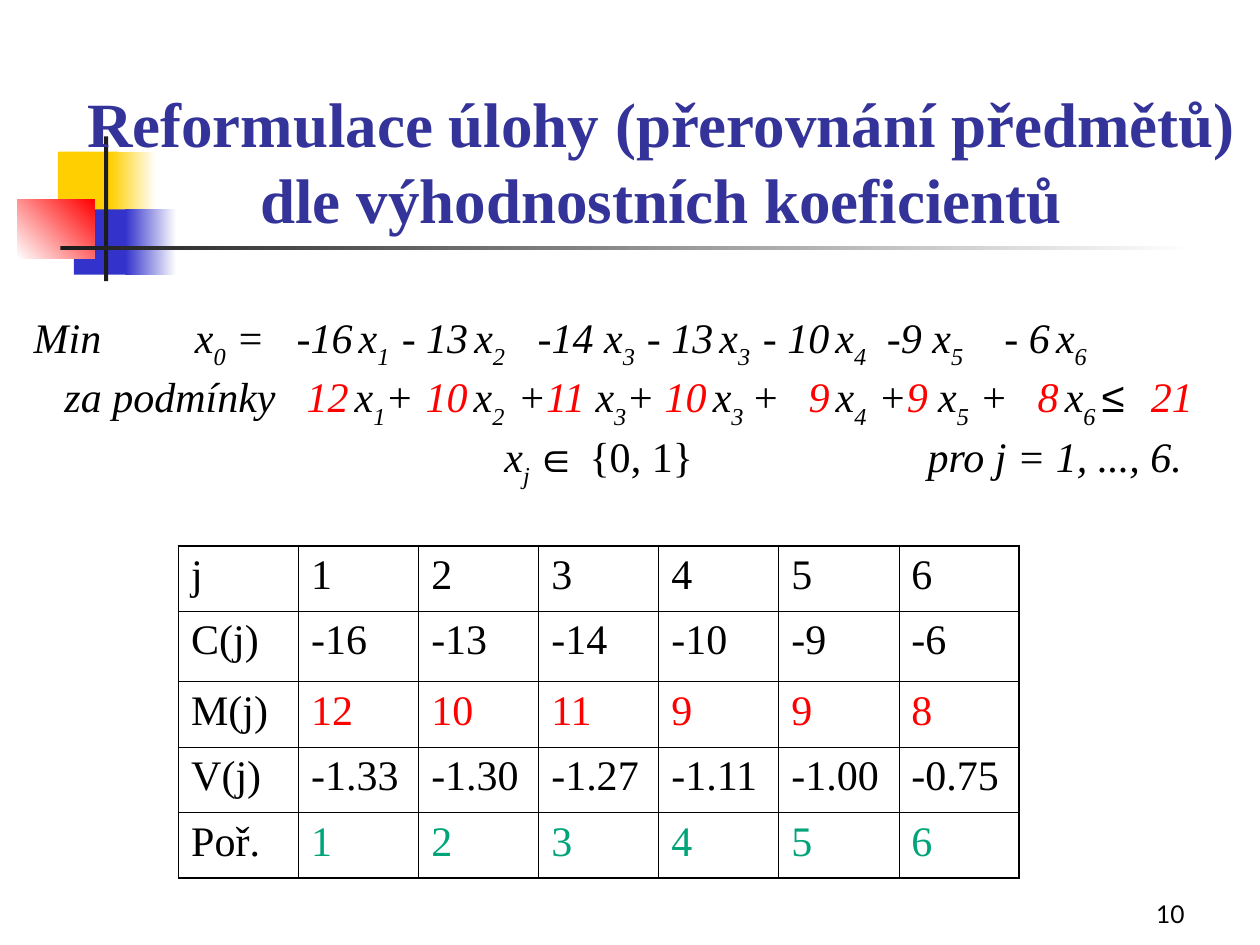
from dataclasses import dataclass

from lxml.etree import SubElement
from pptx import Presentation
from pptx.dml.color import RGBColor
from pptx.enum.shapes import MSO_SHAPE as Preset
from pptx.enum.text import MSO_ANCHOR as Anchor, MSO_AUTO_SIZE as AutoSize, PP_ALIGN as Align
from pptx.oxml.ns import qn
from pptx.util import Cm, Pt


@dataclass(frozen=True)
class Theme:
    """Colours, fonts and sizes of the slide."""
    ink: str = "000000"
    title: str = "333399"
    red: str = "FF0000"
    green: str = "00A479"
    yellow: str = "FFCF01"
    blue: str = "3333CC"
    bar: str = "1C1C1C"
    white: str = "FFFFFF"
    serif: str = "Times New Roman"
    symbol: str = "Arial"
    number_font: str = "Lato"
    title_size: int = 36
    body_size: int = 24
    number_size: int = 14
    outer_line: float = 1.08
    inner_line: float = 0.45


THEME = Theme()
MARKS = {
    "~": {"sub": True},
    "*": {"color": THEME.red},
    "^": {"font": THEME.symbol},
    "`": {"italic": False},
}
FORMULAS = [
    ("Min\tx~0~ =\t-16~ ~x~1~\t- 13~ ~x~2~\t-14 x~3~\t- 13~ ~x~3~"
     "\t- 10~ ~x~4~\t-9 x~5~\t- 6~ ~x~6~",
     [3.25, 5.3, 7.42, 10.16, 12.36, 14.7, 17.2, 19.57]),
    ("\tza podmínky\t*12*~ ~x~1~+\t*10*~ ~x~2~\t+*11* x~3~+\t*10*~ ~x~3~"
     "\t+\t*9*~ ~x~4~\t+*9* x~5~ +\t*8*~ ~x~6 ~^≤^\t*21*",
     [0.62, 5.5, 7.9, 9.76, 12.72, 14.47, 15.62, 17.03, 20.24, 22.52]),
    ("\tx~j ~^∈ ^`{0, 1}`\tpro j = 1, ..., 6.", [9.49, 18.02]),
]
ROWS = [
    ("j", THEME.ink, ["1", "2", "3", "4", "5", "6"]),
    ("C(j)", THEME.ink, ["-16", "-13", "-14", "-10", "-9", "-6"]),
    ("M(j)", THEME.red, ["12", "10", "11", "9", "9", "8"]),
    ("V(j)", THEME.ink, ["-1.33", "-1.30", "-1.27", "-1.11", "-1.00", "-0.75"]),
    ("Poř.", THEME.green, ["1", "2", "3", "4", "5", "6"]),
]
ROW_HEIGHTS = [1.32, 1.42, 1.32, 1.32, 1.32]


def write(para, text, *, size=THEME.body_size, font=THEME.serif, color=THEME.ink,
          bold=False, italic=False, sub=False):
    """Add one formatted span of text to a paragraph."""
    span = para.add_run()
    span.text = text
    span.font.size = Pt(size)
    span.font.name = font
    span.font.bold = bold
    span.font.italic = italic
    span.font.color.rgb = RGBColor.from_string(color)
    if sub:
        span.font._element.set("baseline", "-30000")


def write_marked(para, text):
    """Write italic text in which each mark switches its format on or off."""
    active, pending = set(), ""
    for letter in text:
        if letter not in MARKS:
            pending += letter
            continue
        flush(para, pending, active)
        active ^= {letter}
        pending = ""
    flush(para, pending, active)


def flush(para, text, active):
    """Write the collected text in the formats that are switched on."""
    style = {"italic": True}
    for mark in active:
        style.update(MARKS[mark])
    if text:
        write(para, text, **style)


def set_tabs(para, stops):
    """Give a paragraph left tab stops in centimetres."""
    tabs = SubElement(para._p.get_or_add_pPr(), qn("a:tabLst"))
    for stop in stops:
        SubElement(tabs, qn("a:tab"), pos=str(Cm(stop)), algn="l")


def add_block(page, left, top, width, height, start, end=None, angle=0):
    """Add a borderless rectangle, plain or shaded from start to end."""
    block = page.shapes.add_shape(Preset.RECTANGLE, Cm(left), Cm(top), Cm(width), Cm(height))
    block.shadow.inherit = False
    block.line.fill.background()
    if end is None:
        block.fill.solid()
        block.fill.fore_color.rgb = RGBColor.from_string(start)
        return
    block.fill.gradient()
    block.fill.gradient_angle = angle
    for stop, color in zip(block.fill.gradient_stops, (start, end)):
        stop.color.rgb = RGBColor.from_string(color)


def add_ornament(page, left, top):
    """Draw the coloured squares and the crossing bars."""
    blocks = [
        (0.82, 0.31, 1.22, 1.32, THEME.yellow),
        (1.88, 0.31, 0.91, 1.32, THEME.yellow, THEME.white),
        (1.14, 1.47, 1.17, 1.32, THEME.blue),
        (2.18, 1.47, 1.02, 1.32, THEME.blue, THEME.white),
        (0, 1.27, 1.55, 1.19, THEME.white, THEME.red, 45),
        (1.75, 0, 0.08, 2.92, THEME.bar),
        (0.87, 2.21, 22.86, 0.09, THEME.bar, THEME.white),
    ]
    for across, down, *rest in blocks:
        add_block(page, left + across, top + down, *rest)


def place_title(page, left, top, width, height, text):
    """Move the title placeholder in front of the ornament and fill it."""
    title = page.shapes.title
    page.shapes._spTree.append(title._element)
    title.left, title.top, title.width, title.height = map(Cm, (left, top, width, height))
    frame = title.text_frame
    frame.auto_size = AutoSize.NONE
    frame.word_wrap = True
    frame.vertical_anchor = Anchor.BOTTOM
    frame.margin_left = frame.margin_right = Cm(0.13)
    para = frame.paragraphs[0]
    para.alignment = Align.CENTER
    write(para, text, size=THEME.title_size, color=THEME.title, bold=True)


def add_frame(page, left, top, width, height, anchor=Anchor.TOP):
    """Add a wrapping text box and return its text frame."""
    box = page.shapes.add_textbox(Cm(left), Cm(top), Cm(width), Cm(height))
    box.text_frame.word_wrap = True
    box.text_frame.vertical_anchor = anchor
    return box.text_frame


def add_formulas(page, left, top, width, height):
    """Set the objective and its constraints on tab stops."""
    frame = add_frame(page, left, top, width, height)
    for index, (text, stops) in enumerate(FORMULAS):
        para = frame.add_paragraph() if index else frame.paragraphs[0]
        set_tabs(para, stops)
        write_marked(para, text)


def set_borders(cell, widths):
    """Draw the left, right, top and bottom lines of a cell."""
    props = cell._tc.get_or_add_tcPr()
    for index, (side, width) in enumerate(zip("LRTB", widths)):
        line = SubElement(props, qn(f"a:ln{side}"), w=str(Pt(width)))
        fill = SubElement(line, qn("a:solidFill"))
        SubElement(fill, qn("a:srgbClr"), val=THEME.ink)
        props.insert(index, line)


def add_coefficients(page, left, top, width):
    """Add the table of coefficients and their order."""
    last_row, last_column = len(ROWS) - 1, len(ROWS[0][2])
    grid = page.shapes.add_table(last_row + 1, last_column + 1, Cm(left), Cm(top),
                                 Cm(width), Cm(sum(ROW_HEIGHTS))).table
    grid.first_row = grid.horz_banding = False
    for row, (label, color, values) in enumerate(ROWS):
        grid.rows[row].height = Cm(ROW_HEIGHTS[row])
        for column, text in enumerate([label, *values]):
            cell = grid.cell(row, column)
            cell.fill.background()
            write(cell.text_frame.paragraphs[0], text, color=color if column else THEME.ink)
            edges = (column == 0, column == last_column, row == 0, row == last_row)
            set_borders(cell, [THEME.outer_line if edge else THEME.inner_line for edge in edges])


def add_page_number(page, left, top, width, height, number):
    """Add the page number at the bottom right."""
    para = add_frame(page, left, top, width, height, Anchor.BOTTOM).paragraphs[0]
    para.alignment = Align.RIGHT
    write(para, number, size=THEME.number_size, font=THEME.number_font)


def main():
    """Build the deck and save it."""
    deck = Presentation()
    deck.slide_width, deck.slide_height = Cm(25.4), Cm(19.05)
    page = deck.slides.add_slide(deck.slide_layouts[5])
    add_ornament(page, 0.35, 2.75)
    add_page_number(page, 18.85, 17.58, 5.28, 1.27, "10")
    place_title(page, 1.48, 1.7, 23.7, 3.18,
                "Reformulace úlohy (přerovnání předmětů) dle výhodnostních koeficientů")
    add_formulas(page, 0.43, 6.15, 24.56, 3.86)
    add_coefficients(page, 3.6, 11, 16.94)
    deck.save("out.pptx")


if __name__ == "__main__":
    main()
